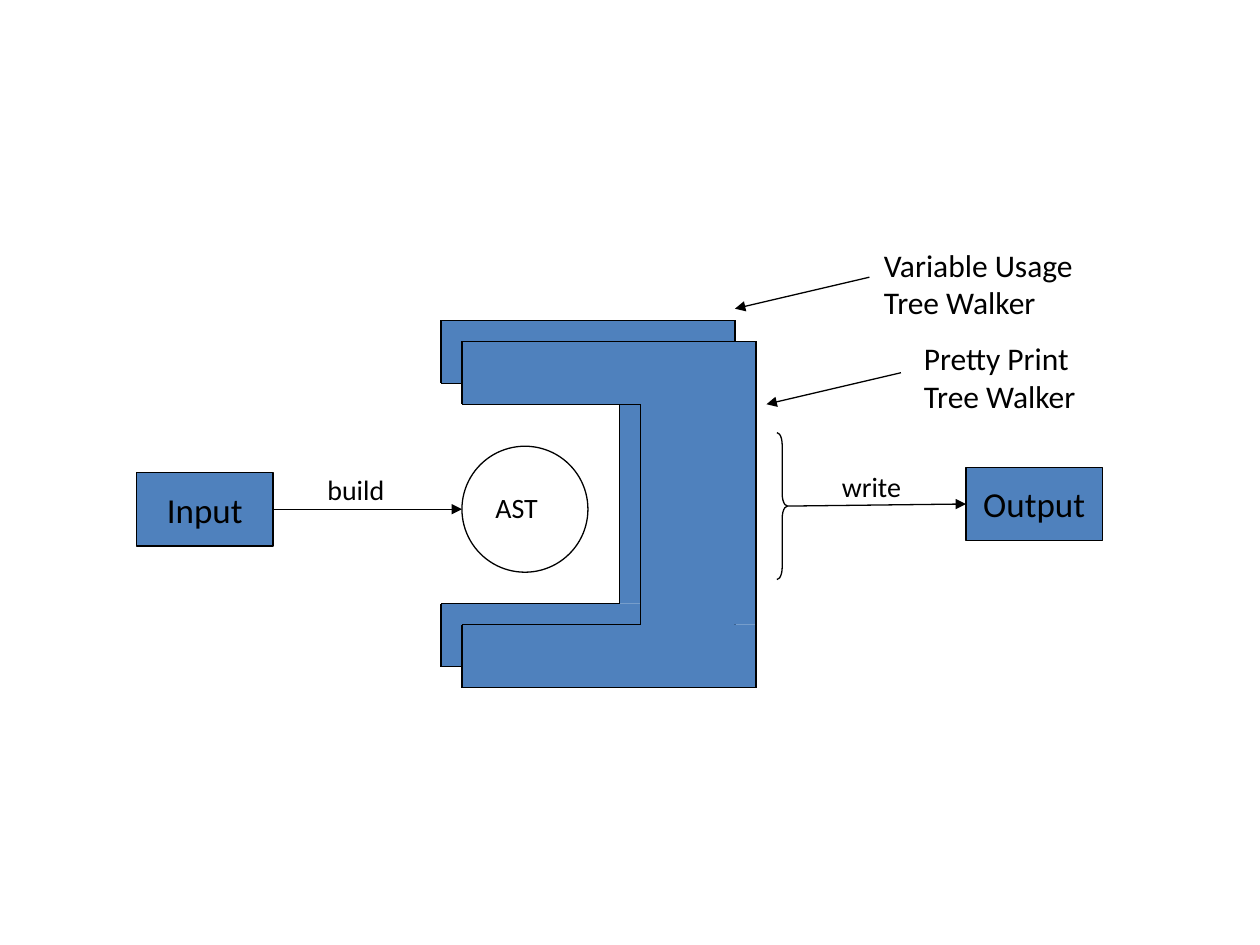
from itertools import pairwise

from lxml.etree import SubElement
from pptx import Presentation
from pptx.dml.color import RGBColor
from pptx.enum.shapes import MSO_CONNECTOR, MSO_SHAPE
from pptx.enum.text import MSO_ANCHOR, MSO_AUTO_SIZE, PP_ALIGN
from pptx.oxml.ns import qn
from pptx.util import Emu, Pt

EMU_PER_PX = 7620
FONT = "Calibri"
BLACK = "000000"
BLUE = "4F81BD"


def px(*lengths):
    return [Emu(length * EMU_PER_PX) for length in lengths]


def color(hex_code):
    return RGBColor.from_string(hex_code)


def add_outline(line):
    line.color.rgb = color(BLACK)
    line.width = Pt(0.75)


def add_shape(shapes, kind, box, fill=None, outlined=True):
    shape = shapes.add_shape(kind, *px(*box))
    shape.shadow.inherit = False
    if fill:
        shape.fill.solid()
        shape.fill.fore_color.rgb = color(fill)
    else:
        shape.fill.background()
    if outlined:
        add_outline(shape.line)
    else:
        shape.line.fill.background()
    return shape


def add_line(shapes, start, end, arrow=False):
    line = shapes.add_connector(MSO_CONNECTOR.STRAIGHT, *px(*start, *end))
    add_outline(line.line)
    properties = line._element.spPr
    if arrow:
        SubElement(properties.find(qn("a:ln")), qn("a:tailEnd"), type="triangle")
    SubElement(properties, qn("a:effectLst"))
    return line


def write_text(frame, text, size, align=PP_ALIGN.LEFT):
    frame.word_wrap = False
    para = frame.paragraphs[0]
    para.alignment = align
    for index, words in enumerate(text.split("\n")):
        if index:
            para.add_line_break()
        span = para.add_run()
        span.text = words
        span.font.name = FONT
        span.font.size = Pt(size)
        span.font.color.rgb = color(BLACK)


def add_label(shapes, box, text, size=16):
    frame = shapes.add_textbox(*px(*box)).text_frame
    write_text(frame, text, size)
    frame.auto_size = MSO_AUTO_SIZE.SHAPE_TO_FIT_TEXT


def add_stage(shapes, box, text):
    stage = add_shape(shapes, MSO_SHAPE.RECTANGLE, box, BLUE)
    stage.text_frame.vertical_anchor = MSO_ANCHOR.MIDDLE
    write_text(stage.text_frame, text, 20, PP_ALIGN.CENTER)
    return stage


def add_tree(page, box):
    left, top, width, height = box
    group = page.shapes.add_group_shape().shapes
    add_shape(group, MSO_SHAPE.OVAL, box)
    add_label(group, (left + 20, top + 36, 76, 44), "AST")


def add_walker(page, box, arm=60, spine=110):
    left, top, width, height = box
    right, bottom = left + width, top + height
    inner, upper, lower = right - spine, top + arm, bottom - arm
    group = page.shapes.add_group_shape().shapes
    for part in (
        (left, top, width, arm),
        (left, lower, width, arm),
        (inner, upper, spine, lower - upper),
    ):
        add_shape(group, MSO_SHAPE.RECTANGLE, part, BLUE, outlined=False)
    corners = [
        (left, upper), (inner, upper), (inner, lower), (left, lower),
        (left, bottom), (right, bottom), (right, top), (left, top),
    ]
    for start, end in pairwise(corners + corners[:1]):
        add_line(group, start, end)


def add_callout(page, box, text, start):
    add_label(page.shapes, box, text, 18)
    x, y = start
    add_line(page.shapes, start, (x - 128, y + 30), arrow=True)


def add_input(page, box, tree_left):
    left, top, width, height = box
    middle = top + height // 2
    stage = add_stage(page.shapes, box, "Input")
    arrow = add_line(page.shapes, (left + width, middle), (tree_left, middle), arrow=True)
    arrow.begin_connect(stage, 3)
    add_label(page.shapes, (left + 170, top - 6, 80, 44), "build")


def add_output(page, box, brace_box):
    left, top, width, height = box
    brace_left, brace_top, brace_width, brace_height = brace_box
    stage = add_stage(page.shapes, box, "Output")
    brace = add_shape(page.shapes, MSO_SHAPE.RIGHT_BRACE, brace_box)
    brace.adjustments[0] = 1.17
    start = (brace_left + brace_width, brace_top + brace_height // 2)
    arrow = add_line(page.shapes, start, (left, top + height // 2), arrow=True)
    arrow.end_connect(stage, 1)
    add_label(page.shapes, (left - 130, top - 4, 80, 44), "write")


def main():
    deck = Presentation()
    deck.slide_width, deck.slide_height = px(1200, 900)
    page = deck.slides.add_slide(deck.slide_layouts[6])
    add_tree(page, (440, 425, 120, 120))
    add_input(page, (130, 450, 130, 70), 440)
    add_output(page, (920, 445, 130, 70), (740, 412, 10, 140))
    add_callout(page, (830, 228, 208, 85), "Variable Usage\nTree Walker", (828, 264))
    add_callout(page, (868, 317, 174, 85), "Pretty Print\nTree Walker", (858, 355))
    for offset in (0, 20):
        add_walker(page, (420 + offset, 305 + offset, 280, 330))
    deck.save("out.pptx")


if __name__ == "__main__":
    main()
